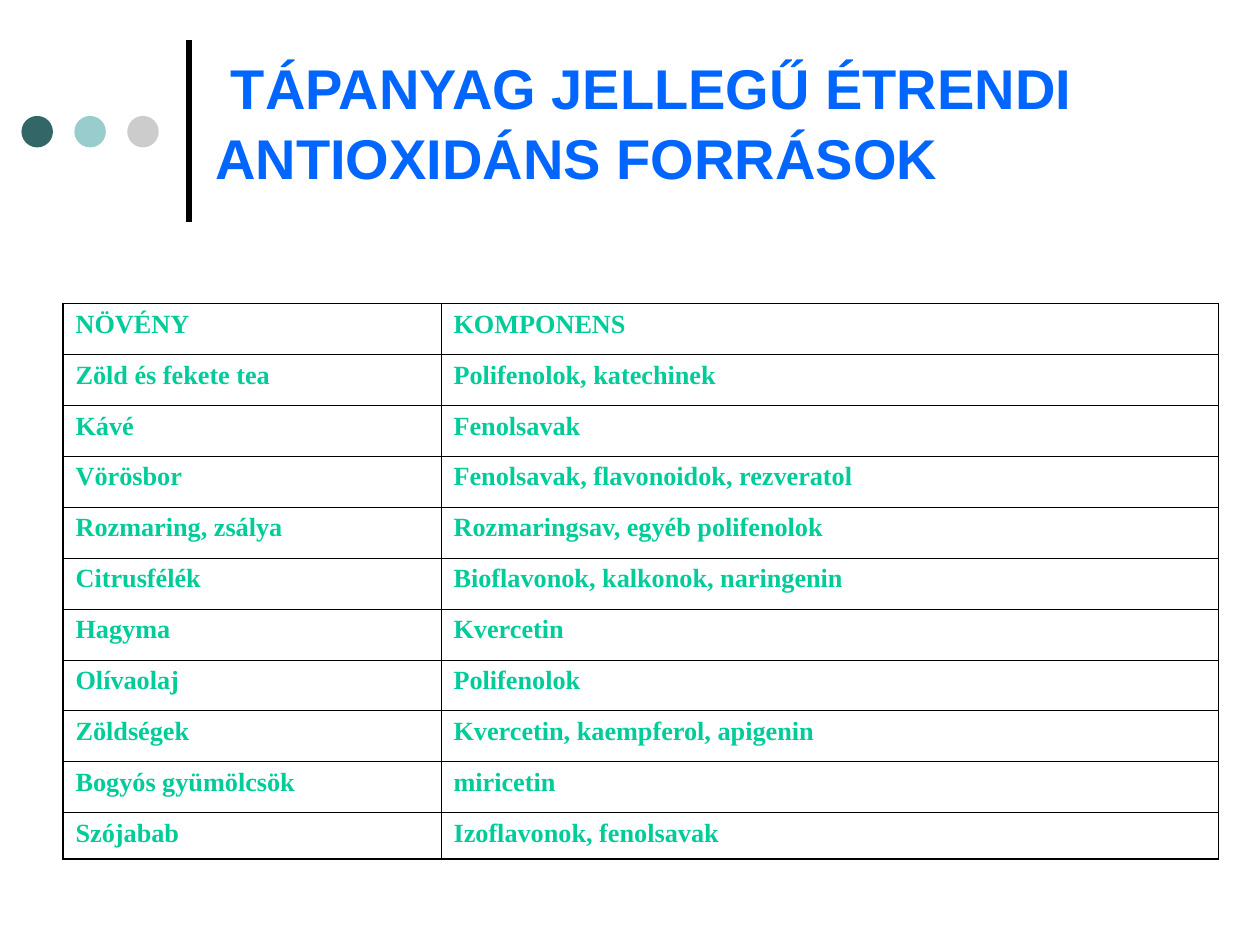
from pptx import Presentation
from pptx.dml.color import RGBColor
from pptx.enum.shapes import MSO_CONNECTOR, MSO_SHAPE
from pptx.enum.text import MSO_ANCHOR, MSO_AUTO_SIZE, PP_ALIGN
from pptx.oxml.ns import qn
from pptx.util import Inches, Pt
from lxml import etree

STRAIGHT = MSO_CONNECTOR.STRAIGHT
OVAL = MSO_SHAPE.OVAL
MIDDLE = MSO_ANCHOR.MIDDLE
NO_AUTOFIT = MSO_AUTO_SIZE.NONE
LEFT = PP_ALIGN.LEFT
TITLE_ONLY = 5

COLORS = {
    "rule": "000000",
    "dark_dot": "336666",
    "mid_dot": "99CCCC",
    "light_dot": "CCCCCC",
    "title": "0066FF",
    "table_text": "00CC99",
}
THIN, THICK = 0.45, 1.08
TITLE = " TÁPANYAG JELLEGŰ ÉTRENDI ANTIOXIDÁNS FORRÁSOK"
ROWS = [
    ("NÖVÉNY", "KOMPONENS"),
    ("Zöld és fekete tea", "Polifenolok, katechinek"),
    ("Kávé", "Fenolsavak"),
    ("Vörösbor", "Fenolsavak, flavonoidok, rezveratol"),
    ("Rozmaring, zsálya", "Rozmaringsav, egyéb polifenolok"),
    ("Citrusfélék", "Bioflavonok, kalkonok, naringenin"),
    ("Hagyma", "Kvercetin"),
    ("Olívaolaj", "Polifenolok"),
    ("Zöldségek", "Kvercetin, kaempferol, apigenin"),
    ("Bogyós gyümölcsök", "miricetin"),
    ("Szójabab", "Izoflavonok, fenolsavak"),
]


def color(name):
    """Return the named colour."""
    return RGBColor.from_string(COLORS[name])


def set_font(para, face, size, color_name):
    """Format a paragraph in bold."""
    para.font.name = face
    para.font.size = Pt(size)
    para.font.bold = True
    para.font.color.rgb = color(color_name)


def add_ornament(page, left, top, width, height):
    """Place three dots and the vertical rule at the right edge of the box."""
    right = Inches(left + width)
    rule = page.shapes.add_connector(
        STRAIGHT, right, Inches(top + height), right, Inches(top))
    rule.line.color.rgb = color("rule")
    rule.line.width = Pt(3)
    etree.SubElement(rule._element.spPr, qn("a:effectLst"))

    size, step = 0.25, 0.42
    for index, name in enumerate(("dark_dot", "mid_dot", "light_dot")):
        dot = page.shapes.add_shape(
            OVAL, Inches(left + index * step), Inches(top + 0.6),
            Inches(size), Inches(size))
        dot.shadow.inherit = False
        dot.fill.solid()
        dot.fill.fore_color.rgb = color(name)
        dot.line.fill.background()


def add_title(page, left, top, width, height):
    """Fill the title placeholder and fit it to the box."""
    box = page.shapes.title
    box.left, box.top = Inches(left), Inches(top)
    box.width, box.height = Inches(width), Inches(height)
    frame = box.text_frame
    frame.text = TITLE
    frame.word_wrap = True
    frame.auto_size = NO_AUTOFIT
    frame.vertical_anchor = MIDDLE
    para = frame.paragraphs[0]
    para.alignment = LEFT
    para.line_spacing = 1.05
    set_font(para, "Arial", 32, "title")


def set_borders(cell, widths):
    """Draw the left, right, top and bottom borders of a cell."""
    properties = cell._tc.get_or_add_tcPr()
    for side, width in zip("LRTB", widths):
        border = etree.SubElement(
            properties, qn(f"a:ln{side}"), w=str(Pt(width)))
        fill = etree.SubElement(border, qn("a:solidFill"))
        etree.SubElement(fill, qn("a:srgbClr"), val=COLORS["rule"])


def add_source_table(page, left, top, width, height):
    """Place the table of plants and components in the box."""
    last_row, last_column = len(ROWS) - 1, len(ROWS[0]) - 1
    table = page.shapes.add_table(
        len(ROWS), len(ROWS[0]), Inches(left), Inches(top),
        Inches(width), Inches(height)).table
    table.first_row = False
    table.horz_banding = False
    plant_width, last_height = 3, 0.37
    table.columns[0].width = Inches(plant_width)
    table.columns[1].width = Inches(width - plant_width)
    for row in table.rows:
        row.height = Inches((height - last_height) / last_row)
    table.rows[last_row].height = Inches(last_height)

    for row_index, texts in enumerate(ROWS):
        for column_index, text in enumerate(texts):
            cell = table.cell(row_index, column_index)
            cell.text = text
            set_font(cell.text_frame.paragraphs[0],
                     "Times New Roman", 15, "table_text")
            outer = (column_index == 0, column_index == last_column,
                     row_index == 0, row_index == last_row)
            set_borders(cell, [THICK if edge else THIN for edge in outer])
            cell.fill.background()


def main():
    """Build and save the deck."""
    deck = Presentation()
    deck.slide_width, deck.slide_height = Inches(10), Inches(7.5)
    page = deck.slides.add_slide(deck.slide_layouts[TITLE_ONLY])
    add_ornament(page, 0.17, 0.32, 1.33, 1.44)
    add_title(page, 1.61, 0.33, 9.25, 1.25)
    add_source_table(page, 0.5, 2.41, 9.17, 4.41)
    deck.save("out.pptx")


if __name__ == "__main__":
    main()
